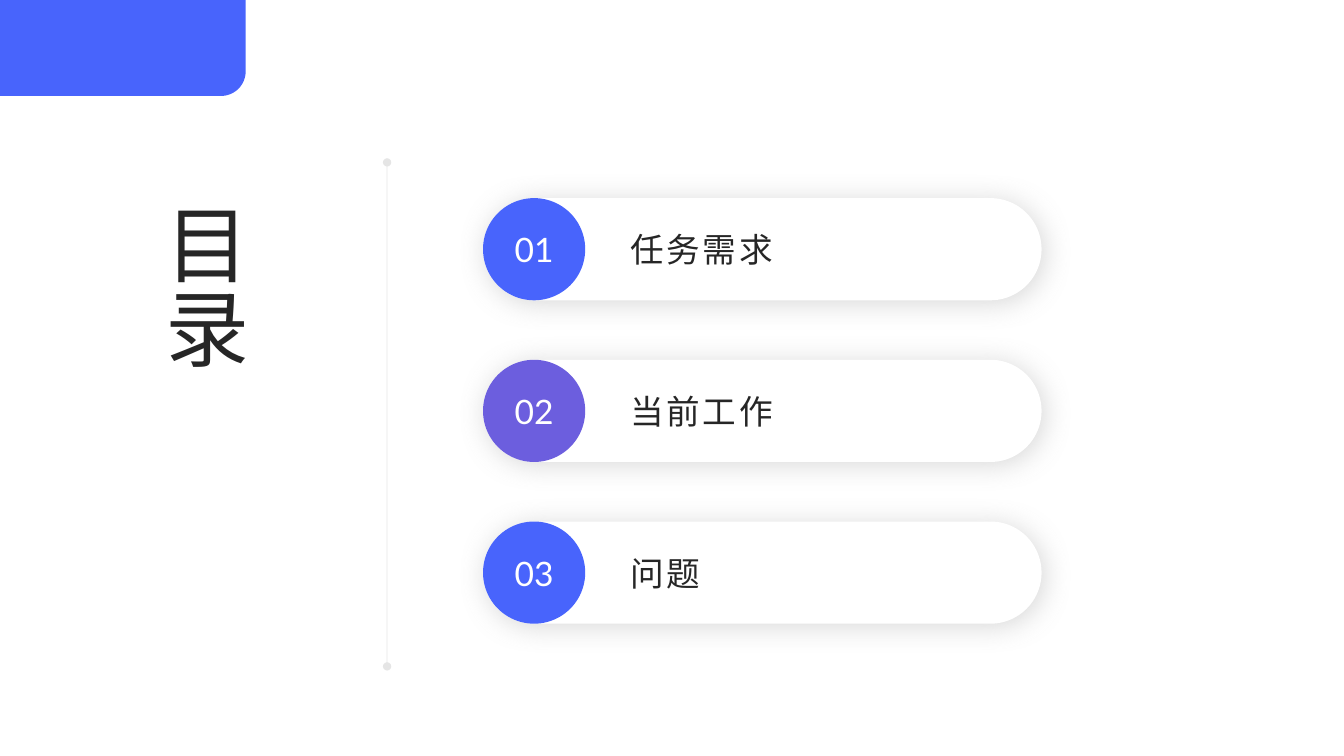
from math import cos, pi, sin

from lxml.etree import SubElement
from pptx import Presentation
from pptx.dml.color import RGBColor
from pptx.enum.shapes import MSO_CONNECTOR, MSO_SHAPE
from pptx.enum.text import MSO_ANCHOR, MSO_AUTO_SIZE, PP_ALIGN
from pptx.oxml.ns import qn
from pptx.util import Pt

COLORS = {"blue": "4864FC", "purple": "6C5EDE", "ink": "262626",
          "white": "FFFFFF", "gray": "808080"}
FONT = "Lato"
ITEMS = [("01", "任务需求", "blue"), ("02", "当前工作", "purple"), ("03", "问题", "blue")]


def rgb(name):
    """Return the named colour."""
    return RGBColor.from_string(COLORS[name])


def add_alpha(color, percent):
    """Set the opacity of a colour element."""
    SubElement(color, qn("a:alpha")).set("val", str(percent * 1000))


def write(sp, text, size=24, color="ink", align=PP_ALIGN.LEFT, inset=0, wrap=True, spacing=0):
    """Write one formatted line, centred vertically, into a shape."""
    tf = sp.text_frame
    tf.auto_size = MSO_AUTO_SIZE.NONE
    tf.word_wrap = wrap
    tf.vertical_anchor = MSO_ANCHOR.MIDDLE
    tf.margin_left = tf.margin_right = Pt(inset)
    tf.margin_top = tf.margin_bottom = 0
    p = tf.paragraphs[0]
    p.alignment = align
    r = p.add_run()
    r.text = text
    r.font.size = Pt(size)
    r.font.name = FONT
    r.font.color.rgb = rgb(color)
    if spacing:
        r._r.get_or_add_rPr().set("spc", str(spacing * 100))


def paint(sp, color):
    """Give a shape a plain fill without outline or shadow."""
    sp.shadow.inherit = False
    sp.fill.solid()
    sp.fill.fore_color.rgb = rgb(color)
    sp.line.fill.background()


def add_soft_shadow(sp):
    """Add a soft gray shadow to a painted shape."""
    effects = sp._element.spPr.find(qn("a:effectLst"))
    shadow = SubElement(effects, qn("a:outerShdw"), blurRad=str(Pt(20)), dist=str(Pt(3)),
                        dir=str(45 * 60000), algn="ctr", rotWithShape="0")
    color = SubElement(shadow, qn("a:srgbClr"), val=COLORS["gray"])
    add_alpha(color, 30)


def add_corner(s, x, y, w, h, radius=17.5, steps=16):
    """Draw the corner block with its rounded lower right corner."""
    angles = [i * pi / 2 / steps for i in range(steps + 1)]
    arc = [(Pt(x + w - radius + radius * cos(a)), Pt(y + h - radius + radius * sin(a)))
           for a in angles]
    outline = s.shapes.build_freeform(Pt(x), Pt(y))
    outline.add_line_segments([(Pt(x + w), Pt(y)), *arc, (Pt(x), Pt(y + h))], close=True)
    paint(outline.convert_to_shape(), "blue")


def add_divider(s, x, y, h):
    """Draw the faint vertical line with dots at both ends."""
    line = s.shapes.add_connector(MSO_CONNECTOR.STRAIGHT, Pt(x), Pt(y), Pt(x), Pt(y + h))
    line.line.width = Pt(0.5)
    line.line.color.rgb = rgb("gray")
    ln = line.line._get_or_add_ln()
    add_alpha(ln.find(qn("a:solidFill"))[0], 20)
    for end in ("a:headEnd", "a:tailEnd"):
        SubElement(ln, qn(end), type="oval")
    SubElement(line._element.spPr, qn("a:effectLst"))


def add_title(s, x, y, w, h):
    """Place the vertical title."""
    sp = s.shapes.title
    sp.left, sp.top, sp.width, sp.height = Pt(x), Pt(y), Pt(w), Pt(h)
    write(sp, "目录", size=60)
    tf = sp.text_frame
    tf.margin_top = tf.margin_bottom = Pt(3.6)
    tf._txBody.bodyPr.set("vert", "eaVert")


def add_item(s, x, y, w, h, number, label, color):
    """Draw one agenda pill with its numbered disc and label."""
    pill = s.shapes.add_shape(MSO_SHAPE.ROUNDED_RECTANGLE, Pt(x), Pt(y), Pt(w), Pt(h))
    pill.adjustments[0] = 0.5
    paint(pill, "white")
    add_soft_shadow(pill)
    disc = s.shapes.add_shape(MSO_SHAPE.OVAL, Pt(x), Pt(y), Pt(h), Pt(h))
    paint(disc, color)
    write(disc, number, color="white", align=PP_ALIGN.CENTER, wrap=False)
    indent = 98
    box = s.shapes.add_textbox(Pt(x + indent), Pt(y), Pt(w - indent), Pt(h))
    write(box, label, inset=7.2, spacing=2)


def add_agenda(s, x, y, w, h):
    """Stack the agenda items evenly in the box."""
    item_h = 73
    pitch = (h - item_h) / (len(ITEMS) - 1)
    for i, item in enumerate(ITEMS):
        add_item(s, x, y + i * pitch, w, item_h, *item)


def main():
    """Build and save the contents slide."""
    prs = Presentation()
    prs.slide_width, prs.slide_height = Pt(960), Pt(540)
    s = prs.slides.add_slide(prs.slide_layouts[5])
    add_divider(s, 276.5, 116, 360)
    add_corner(s, -1.5, 0, 177, 68.5)
    add_title(s, 92, 141, 108, 284)
    add_agenda(s, 345, 141.5, 399, 304)
    prs.save("out.pptx")


if __name__ == "__main__":
    main()
